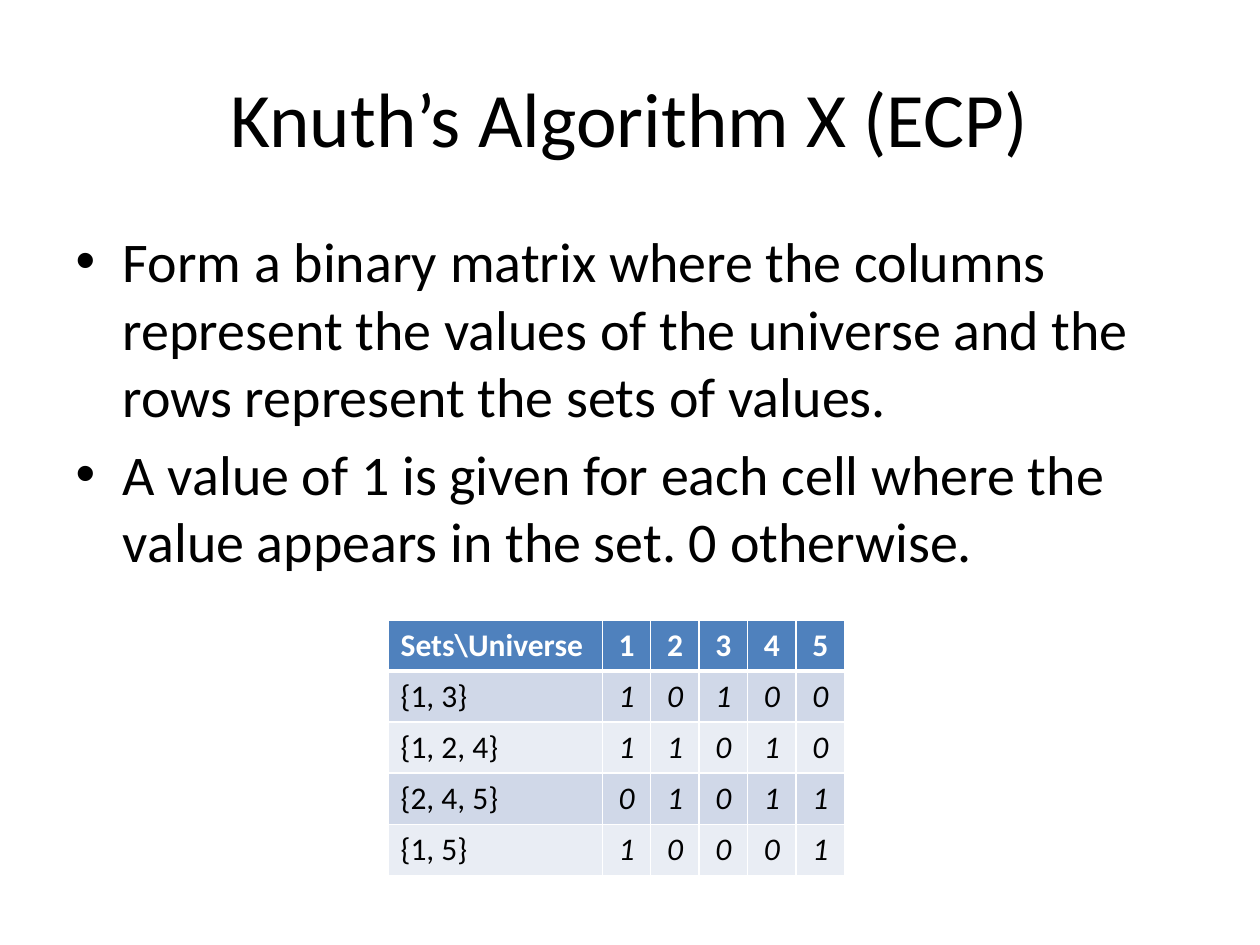
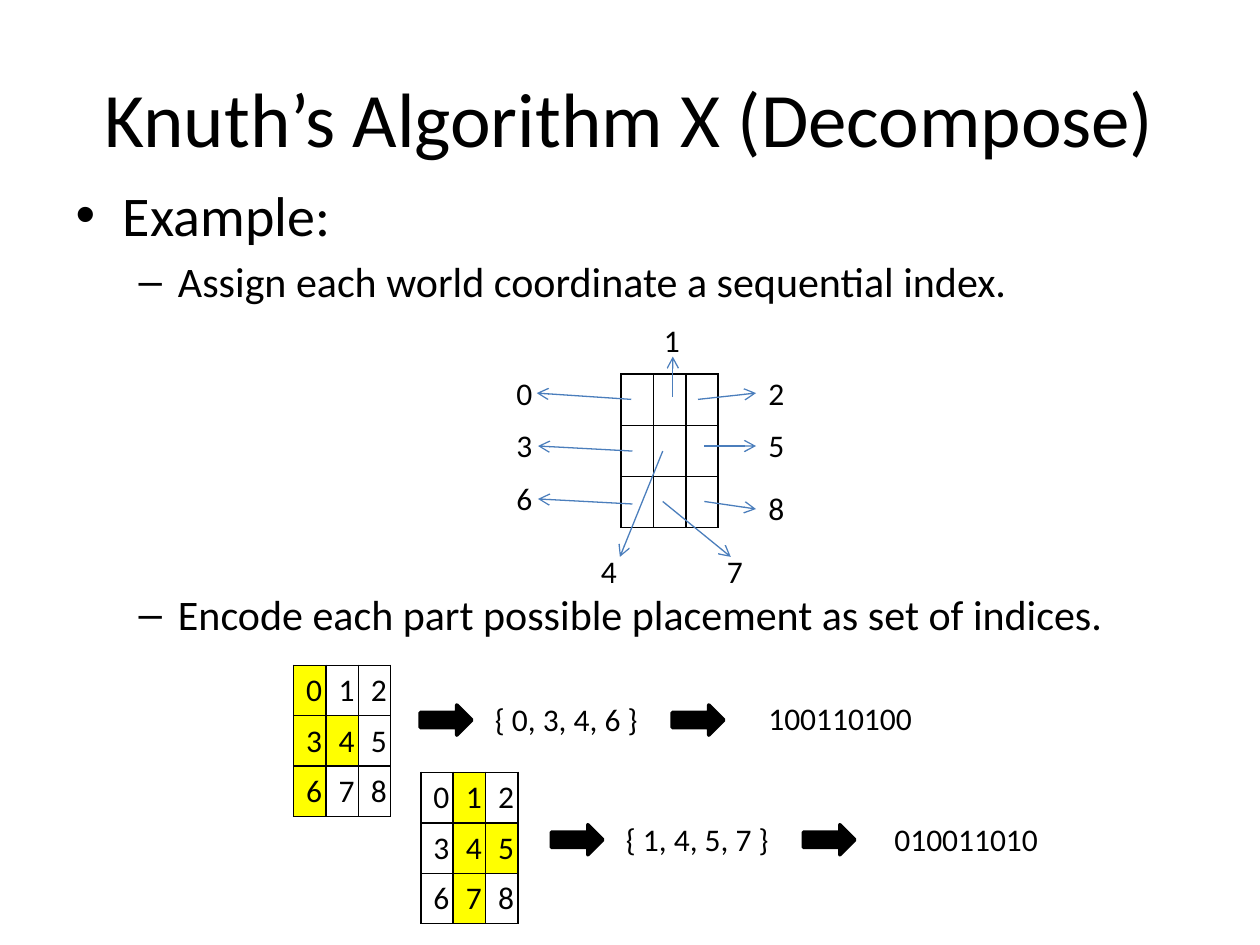
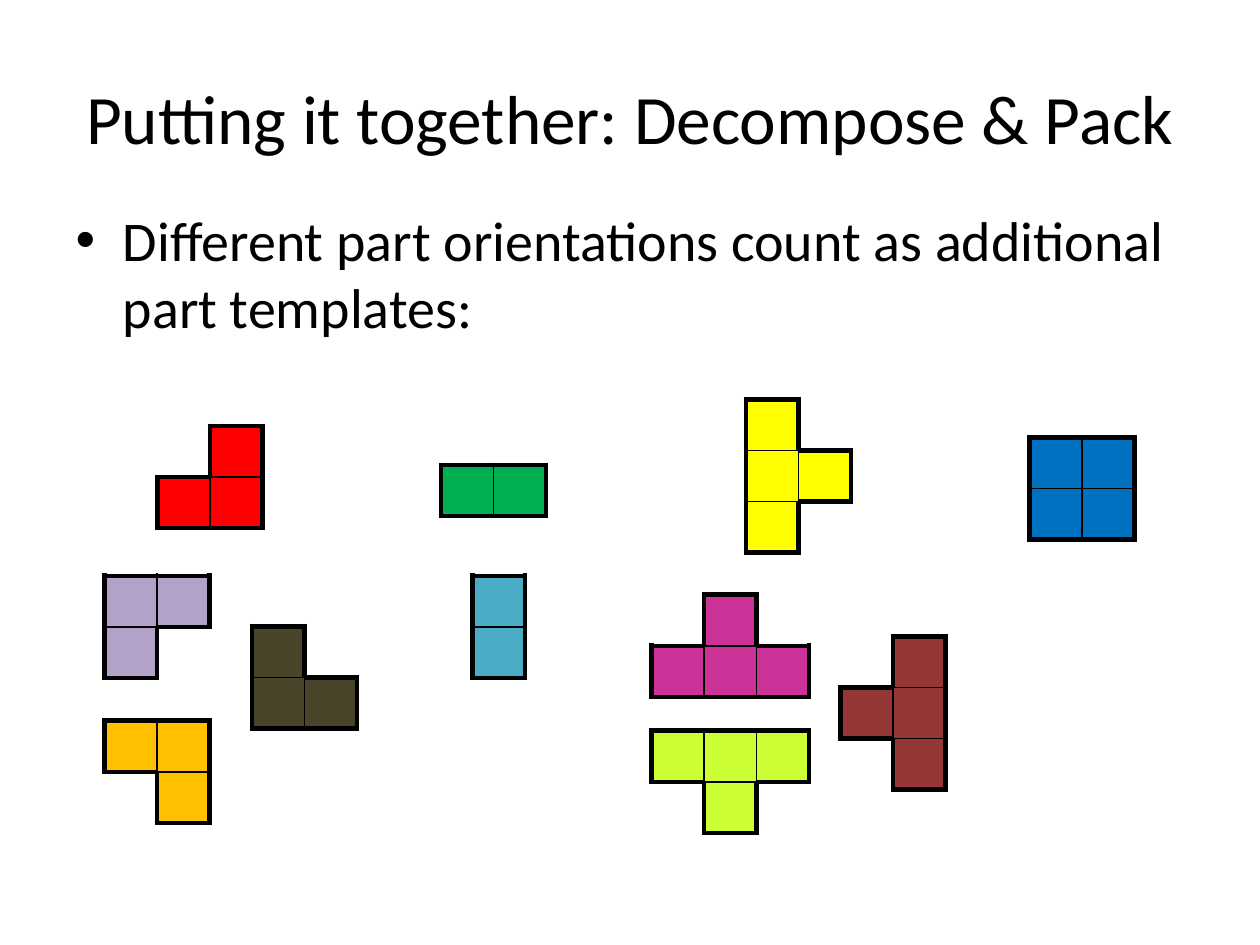
from dataclasses import dataclass

from lxml import etree
from pptx import Presentation
from pptx.dml.color import RGBColor
from pptx.enum.shapes import MSO_CONNECTOR as Connector, MSO_SHAPE as Shape
from pptx.enum.text import MSO_AUTO_SIZE as AutoSize, PP_ALIGN as Align
from pptx.oxml.ns import qn
from pptx.util import Inches, Pt

FONT = "Calibri"
COLORS = {
    "black": "000000", "white": "FFFFFF", "header": "4F81BD",
    "band_dark": "D0D8E8", "band_light": "E9EDF4", "pointer": "4B7EBC",
    "red": "FF0000", "green": "00B050", "yellow": "FFFF00", "blue": "0070C0",
    "lilac": "B3A2C7", "orange": "FFC000", "olive": "4A452A", "teal": "4BACC6",
    "brown": "953735", "magenta": "CC3399", "lime": "CCFF33",
}
THIN, THICK = 1, 3
# Table measures in inches, from points
ROW = 29.2 / 72
BLOCK = 30 / 72
VALUE_COLUMN = 27.7 / 72
INDEX_CELL = (18.5 / 72, 0.4)


@dataclass
class Line:
    text: str
    level: int = 0
    size: float = 32
    space_before: float | None = None


@dataclass
class IndexLabel:
    text: str
    at: tuple[float, float]
    start: tuple[float, float]
    end: tuple[float, float]


@dataclass
class Placement:
    grid: tuple[float, float]
    indices: tuple[int, ...]
    arrows: tuple[float, float]
    arrow_top: float
    set_left: float
    code_at: tuple[float, float]
    code_width: float


@dataclass
class Piece:
    color: str
    at: tuple[float, float]
    pattern: str  # rows split by "/", X marks a block
    wide_last: bool = False  # the last column is two blocks wide
    merged_column: int | None = None


# Shared helpers
def rgb(name: str) -> RGBColor:
    return RGBColor.from_string(COLORS[name])


def style(para, size: float, color: str = "black", bold: bool = False,
          italic: bool = False) -> None:
    for span in para.runs:
        font = span.font
        font.name, font.size = FONT, Pt(size)
        font.bold, font.italic = bold, italic
        font.color.rgb = rgb(color)


def add_page(deck, title: str, lines: list[Line], body_top: float = 1.75,
             body_height: float = 4.95, title_size: float = 44):
    page = deck.slides.add_slide(deck.slide_layouts[1])
    page.shapes.title.text_frame.text = title
    style(page.shapes.title.text_frame.paragraphs[0], title_size)
    body = page.placeholders[1]
    body.left, body.top = Inches(0.5), Inches(body_top)
    body.width, body.height = Inches(9), Inches(body_height)
    frame = body.text_frame
    for number, line in enumerate(lines):
        para = frame.add_paragraph() if number else frame.paragraphs[0]
        para.text, para.level = line.text, line.level
        if line.space_before is not None:
            para.space_before = Pt(line.space_before)
        style(para, line.size)
    return page


def add_text(page, text: str, left: float, top: float, width: float,
             height: float) -> None:
    box = page.shapes.add_textbox(Inches(left), Inches(top), Inches(width), Inches(height))
    frame = box.text_frame
    frame.word_wrap = True
    frame.auto_size = AutoSize.SHAPE_TO_FIT_TEXT
    frame.text = text
    style(frame.paragraphs[0], 18)


def add_grid(page, at: tuple[float, float], widths: list[float],
             heights: list[float]):
    frame = page.shapes.add_table(
        len(heights), len(widths), Inches(at[0]), Inches(at[1]),
        Inches(sum(widths)), Inches(sum(heights)))
    table = frame.table
    table.first_row = table.horz_banding = False
    for column, width in zip(table.columns, widths):
        column.width = Inches(width)
    for row, height in zip(table.rows, heights):
        row.height = Inches(height)
    return table


def fill_cell(cell, color: str | None) -> None:
    if color:
        cell.fill.solid()
        cell.fill.fore_color.rgb = rgb(color)
    else:
        cell.fill.background()


def set_borders(cell, color: str, left: float, right: float, top: float,
                bottom: float) -> None:
    """Border widths in points; zero means no line."""
    properties = cell._tc.get_or_add_tcPr()
    widths = {"a:lnL": left, "a:lnR": right, "a:lnT": top, "a:lnB": bottom}
    for place, (tag, width) in enumerate(widths.items()):
        border = etree.Element(qn(tag), w=str(Pt(width)))
        if width:
            solid = etree.SubElement(border, qn("a:solidFill"))
            etree.SubElement(solid, qn("a:srgbClr"), val=COLORS[color])
        else:
            etree.SubElement(border, qn("a:noFill"))
        properties.insert(place, border)


# Slide 1 parts
def add_matrix(page, at: tuple[float, float], universe: range,
               sets: list[tuple[int, ...]]) -> None:
    rows = [["Sets\\Universe", *map(str, universe)]]
    for members in sets:
        name = "{" + ", ".join(map(str, members)) + "}"
        rows.append([name, *(str(int(value in members)) for value in universe)])
    table = add_grid(page, at, [1.7] + [VALUE_COLUMN] * len(universe), [ROW] * len(rows))
    for r, row in enumerate(rows):
        header = r == 0
        fill = "header" if header else "band_dark" if r % 2 else "band_light"
        for c, text in enumerate(row):
            cell = table.cell(r, c)
            fill_cell(cell, fill)
            set_borders(cell, "white", THIN, THIN, THICK if r == 1 else THIN,
                        THICK if header else THIN)
            para = cell.text_frame.paragraphs[0]
            para.text = text
            if c:
                para.alignment = Align.CENTER
            style(para, 18, "white" if header else "black", bold=header,
                  italic=not header and c > 0)


# Slide 2 parts
def add_index_grid(page, at: tuple[float, float], marked: tuple[int, ...] = (),
                   numbered: bool = True) -> None:
    width, height = INDEX_CELL
    table = add_grid(page, at, [width] * 3, [height] * 3)
    for index in range(9):
        cell = table.cell(*divmod(index, 3))
        cell.margin_right = 0
        fill_cell(cell, "yellow" if index in marked else None)
        set_borders(cell, "black", THIN, THIN, THIN, THIN)
        if numbered:
            para = cell.text_frame.paragraphs[0]
            para.text = str(index)
            style(para, 18)


def add_index_label(page, label: IndexLabel) -> None:
    pointer = page.shapes.add_connector(
        Connector.STRAIGHT, *(Inches(value) for value in label.start + label.end))
    pointer.line.color.rgb = rgb("pointer")
    pointer.line.width = Pt(0.75)
    properties = pointer.element.spPr
    etree.SubElement(properties.find(qn("a:ln")), qn("a:tailEnd"), type="arrow")
    etree.SubElement(properties, qn("a:effectLst"))
    add_text(page, label.text, *label.at, 1.08, 0.42)


def add_block_arrow(page, left: float, top: float) -> None:
    arrow = page.shapes.add_shape(
        Shape.UP_ARROW, Inches(left), Inches(top), Inches(0.24), Inches(0.41))
    arrow.rotation = 90
    arrow.shadow.inherit = False
    arrow.fill.solid()
    arrow.fill.fore_color.rgb = rgb("black")
    arrow.line.color.rgb = rgb("black")
    arrow.line.width = Pt(2)


def add_placement(page, item: Placement) -> None:
    add_index_grid(page, item.grid, item.indices)
    for left in item.arrows:
        add_block_arrow(page, left, item.arrow_top)
    members = ", ".join(map(str, item.indices))
    add_text(page, "{ " + members + " }", item.set_left, item.arrow_top, 1.67, 0.4)
    code = "".join(str(int(index in item.indices)) for index in range(9))
    add_text(page, code, *item.code_at, item.code_width, 0.4)


# Slide 3 parts
def add_piece(page, piece: Piece) -> None:
    rows = piece.pattern.split("/")
    row_count, column_count = len(rows), len(rows[0])

    def is_block(r: int, c: int) -> bool:
        return 0 <= r < row_count and 0 <= c < column_count and rows[r][c] == "X"

    def edge(r: int, c: int, r2: int, c2: int) -> int:
        """Thin between blocks, thick around the piece, none elsewhere."""
        return (0, THICK, THIN)[is_block(r, c) + is_block(r2, c2)]

    widths = [BLOCK] * column_count
    if piece.wide_last:
        widths[-1] = 2 * BLOCK
    table = add_grid(page, piece.at, widths, [ROW] * row_count)
    for r in range(row_count):
        for c in range(column_count):
            cell = table.cell(r, c)
            fill_cell(cell, piece.color if is_block(r, c) else None)
            set_borders(cell, "black", edge(r, c, r, c - 1), edge(r, c, r, c + 1),
                        edge(r, c, r - 1, c), edge(r, c, r + 1, c))
    if piece.merged_column is not None:
        top_cell = table.cell(0, piece.merged_column)
        top_cell.merge(table.cell(row_count - 1, piece.merged_column))


INDEX_LABELS = [
    IndexLabel("0", (4, 2.92), (5.01, 3.17), (4.26, 3.12)),
    IndexLabel("3", (4, 3.33), (5.02, 3.58), (4.27, 3.54)),
    IndexLabel("6", (4, 3.75), (5.02, 4), (4.27, 3.96)),
    IndexLabel("2", (6, 2.92), (5.54, 3.17), (6, 3.12)),
    IndexLabel("5", (6, 3.33), (5.59, 3.54), (6, 3.54)),
    IndexLabel("8", (6, 3.83), (5.59, 3.98), (6, 4.04)),
    IndexLabel("1", (5.17, 2.5), (5.34, 3.15), (5.34, 2.83)),
    IndexLabel("4", (4.67, 4.33), (5.26, 3.58), (4.92, 4.42)),
    IndexLabel("7", (5.67, 4.33), (5.26, 3.98), (5.8, 4.42)),
]
PLACEMENTS = [
    Placement((2.33, 5.28), (0, 3, 4, 6), (3.42, 5.42), 5.51, 3.83, (6, 5.5), 2.17),
    Placement((3.34, 6.13), (1, 4, 5, 7), (4.46, 6.46), 6.46, 4.87, (7, 6.46), 1.92),
]
PIECES = [
    Piece("green", (3.5, 3.69), "XX.", wide_last=True),
    Piece("red", (1.25, 3.38), ".X/XX"),
    Piece("blue", (8.17, 3.47), "XX/XX"),
    Piece("yellow", (5.92, 3.17), "X./XX/X."),
    Piece("lilac", (0.83, 4.57), "XX/X."),
    Piece("orange", (0.83, 5.72), "XX/.X"),
    Piece("olive", (2, 4.97), "X./XX"),
    Piece("teal", (3.75, 4.57), "X../X..", wide_last=True, merged_column=1),
    Piece("brown", (6.67, 5.05), ".X/XX/.X"),
    Piece("magenta", (5.17, 4.72), ".X./XXX"),
    Piece("lime", (5.17, 5.8), "XXX/.X."),
]

deck = Presentation()
deck.slide_width, deck.slide_height = Inches(10), Inches(7.5)

# Slide 1: binary matrix
page = add_page(deck, "Knuth’s Algorithm X (ECP)", [
    Line("Form a binary matrix where the columns represent the values of the "
         "universe and the rows represent the sets of values."),
    Line("A value of 1 is given for each cell where the value appears in the set. "
         "0 otherwise."),
])
add_matrix(page, (3.08, 4.92), range(1, 6), [(1, 3), (1, 2, 4), (2, 4, 5), (1, 5)])

# Slide 2: indices and placements
page = add_page(deck, "Knuth’s Algorithm X (Decompose)", [
    Line("Example:"),
    Line("Assign each world coordinate a sequential index.", 1, 24),
    Line("Encode each part possible placement as set of indices.", 1, 24, 161.5),
], body_top=1.38, body_height=5.53)
add_index_grid(page, (4.93, 2.97), numbered=False)
for label in INDEX_LABELS:
    add_index_label(page, label)
for placement in PLACEMENTS:
    add_placement(page, placement)

# Slide 3: part templates
page = add_page(deck, "Putting it together: Decompose & Pack", [
    Line("Different part orientations count as additional part templates:"),
], body_top=1.58, title_size=39.6)
for piece in PIECES:
    add_piece(page, piece)

deck.save("out.pptx")
